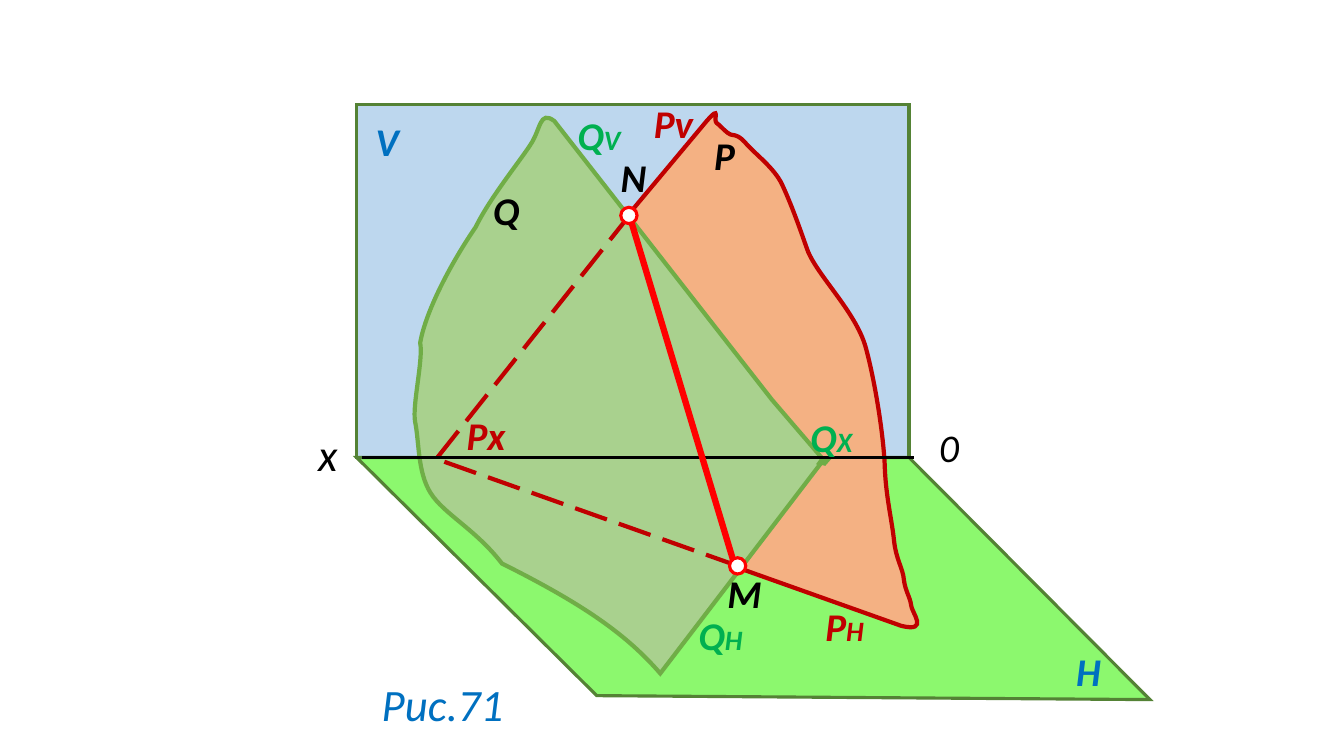
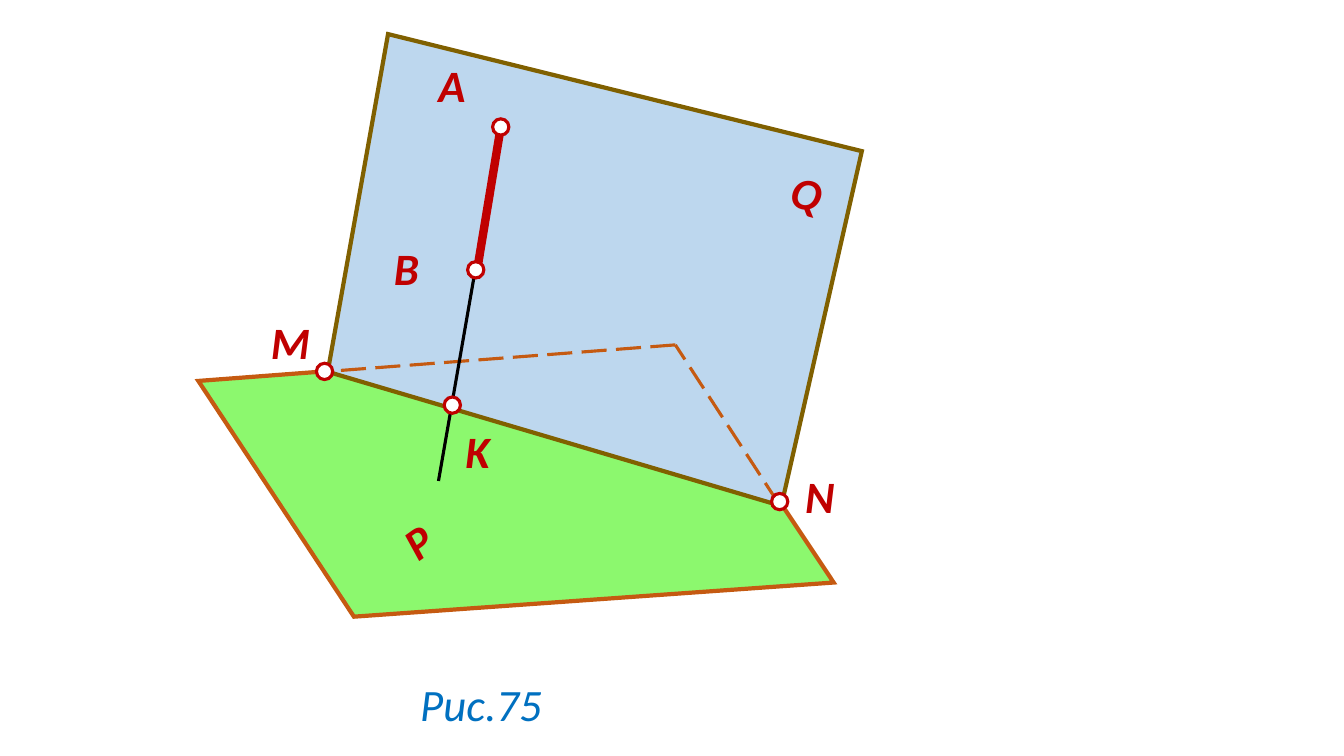
from dataclasses import dataclass

from pptx import Presentation
from pptx.dml.color import RGBColor
from pptx.enum.dml import MSO_LINE
from pptx.enum.shapes import MSO_CONNECTOR as Connector, MSO_SHAPE as Preset
from pptx.oxml.xmlchemy import OxmlElement
from pptx.util import Cm, Pt


@dataclass(frozen=True)
class Theme:
    font: str = "Calibri"
    label: int = 28
    index: int = 20
    large: int = 32
    thin: float = 2.25
    medium: float = 3
    bold_line: float = 4.5
    heavy: float = 6
    dot: float = 0.41
    black: str = "000000"
    white: str = "FFFFFF"
    sky: str = "BDD7EE"
    grass: str = "8CF86E"
    frame: str = "548235"
    blue: str = "0070C0"
    green: str = "00B050"
    leaf: str = "A9D18E"
    leaf_edge: str = "70AD47"
    peach: str = "F4B183"
    crimson: str = "C00000"
    red: str = "FF0000"
    rust: str = "C55A11"
    olive: str = "806000"


class Drawing:
    def __init__(self, deck, theme):
        self.deck = deck
        self.theme = theme
        self.page = None

    def new_page(self):
        self.page = self.deck.slides.add_slide(self.deck.slide_layouts[6])

    def paint(self, shape, fill, edge, weight):
        shape.shadow.inherit = False
        shape.fill.solid()
        shape.fill.fore_color.rgb = RGBColor.from_string(fill)
        self.stroke(shape.line, edge, weight)
        corner = OxmlElement("a:miter")
        corner.set("lim", "800000")
        shape._element.spPr.xpath("./a:ln")[0].append(corner)

    def stroke(self, line, color, weight):
        line.color.rgb = RGBColor.from_string(color)
        line.width = Pt(weight)

    def rectangle(self, left, top, width, height, fill, edge):
        shape = self.page.shapes.add_shape(
            Preset.RECTANGLE, Cm(left), Cm(top), Cm(width), Cm(height))
        self.paint(shape, fill, edge, self.theme.thin)

    def outline(self, segments, fill, edge, weight):
        points = [
            (Cm(segment[i]), Cm(segment[i + 1]))
            for segment in segments for i in range(0, len(segment), 2)
        ]
        builder = self.page.shapes.build_freeform(*points[0])
        builder.add_line_segments(points[1:], close=True)
        shape = builder.convert_to_shape()
        self.bend(shape, segments)
        self.paint(shape, fill, edge, weight)

    def bend(self, shape, segments):
        steps = iter(shape._element.xpath(".//a:lnTo"))
        for segment in segments[1:]:
            step = next(steps)
            if len(segment) == 6:
                curve = OxmlElement("a:cubicBezTo")
                step.addprevious(curve)
                for part in (step, next(steps), next(steps)):
                    curve.append(part[0])
                    part.getparent().remove(part)

    def line(self, start, end, color, weight, dashed=False):
        connector = self.page.shapes.add_connector(
            Connector.STRAIGHT, *(Cm(value) for value in (*start, *end)))
        self.stroke(connector.line, color, weight)
        if dashed:
            connector.line.dash_style = MSO_LINE.LONG_DASH
        connector._element.spPr.append(OxmlElement("a:effectLst"))

    def dot(self, center, edge):
        size = self.theme.dot
        left, top = (value - size / 2 for value in center)
        shape = self.page.shapes.add_shape(
            Preset.OVAL, Cm(left), Cm(top), Cm(size), Cm(size))
        self.paint(shape, self.theme.white, edge, self.theme.thin)

    def label(self, text, left, top, color, index="", size=None, bold=True,
              width=1.93, angle=0):
        size = size or self.theme.label
        box = self.page.shapes.add_textbox(
            Cm(left), Cm(top), Cm(width), Cm(0.25 + size * 0.043))
        box.rotation = angle
        box.text_frame.word_wrap = True
        para = box.text_frame.paragraphs[0]
        para.font.name = self.theme.font
        para.font.size = Pt(size)
        para.font.bold = bold
        para.font.italic = True
        para.font.color.rgb = RGBColor.from_string(color)
        para.add_run().text = text
        if index:
            span = para.add_run()
            span.text = index
            span.font.size = Pt(self.theme.index)

    def caption(self, text, left):
        self.label(text, left, 16.92, self.theme.blue,
                   size=self.theme.large, bold=False, width=4.85)


def draw_plane_intersection(drawing):
    theme = drawing.theme
    drawing.new_page()
    axis = 11.53
    point_n, point_m = (15.85, 5.43), (18.59, 14.26)

    drawing.rectangle(8.99, 2.63, 13.92, 8.9, theme.sky, theme.frame)
    drawing.outline([(8.99, axis), (22.91, axis), (28.98, 17.63), (15.04, 17.53)],
                    theme.grass, theme.frame, theme.thin)
    plane_p = [
        (15.77, 5.49),
        (17.81, 3.05),
        (18.19, 2.62, 17.96, 3.02, 18.06, 3.1),
        (18.14, 3.15, 18.21, 3.25, 18.34, 3.35),
        (18.44, 3.45, 18.54, 3.33, 18.77, 3.58),
        (19, 3.86, 19.51, 4.22, 19.71, 4.65),
        (19.91, 5.08, 20.09, 5.56, 20.32, 6.22),
        (20.52, 6.88, 21.56, 7.82, 21.82, 8.76),
        (22.07, 9.68, 22.28, 11.07, 22.3, 11.81),
        (22.33, 12.52, 22.48, 13.13, 22.53, 13.61),
        (22.58, 14.1, 22.76, 14.33, 22.78, 14.61),
        (22.81, 14.88, 22.94, 15.06, 22.96, 15.24),
        (22.96, 15.42, 23.44, 15.95, 22.71, 15.77),
        (18.44, 14.25),
    ]
    plane_q = [
        (19.46, 10.08),
        (13.97, 3.05),
        (13.59, 2.77, 13.64, 3.25, 13.36, 3.66),
        (13.08, 4.09, 12.34, 5, 11.99, 5.72),
        (11.35, 6.65, 10.72, 7.87, 10.59, 8.64),
        (10.67, 9.07, 10.39, 10.19, 10.46, 10.62),
        (10.57, 11.15, 10.52, 11.89, 10.85, 12.42),
        (11.18, 12.95, 11.99, 13.34, 12.65, 14.2),
        (14.73, 15.24, 15.8, 16, 16.64, 16.97),
        (20.7, 11.66),
        (20.78, 11.68),
        (20.85, 11.6),
        (20.68, 11.63),
        (20.73, 11.56),
    ]
    drawing.outline(plane_p, theme.peach, theme.crimson, theme.medium)
    drawing.outline(plane_q, theme.leaf, theme.leaf_edge, theme.medium)
    drawing.line((15.9, 5.38), (11.02, axis), theme.crimson, theme.medium, dashed=True)
    drawing.line(point_m, (10.9, axis), theme.crimson, theme.medium, dashed=True)
    drawing.line((9.12, axis), (23.04, axis), theme.black, theme.thin)
    drawing.line((15.88, 5.49), (18.54, 14.33), theme.red, theme.bold_line)
    for point in (point_n, point_m):
        drawing.dot(point, theme.red)

    drawing.label("x", 7.77, 10.62, theme.black, size=theme.large, bold=False, width=1.02)
    drawing.label("0", 23.42, 10.54, theme.black, bold=False)
    for text, index, left, top, color in (
        ("Q", "H", 17.35, 15.27, theme.green),
        ("Q", "V", 14.3, 2.67, theme.green),
        ("Q", "X", 20.17, 10.29, theme.green),
        ("P", "H", 20.55, 15.06, theme.crimson),
        ("Pv", "", 16.23, 2.39, theme.crimson),
        ("Px", "", 11.51, 10.24, theme.crimson),
        ("P", "", 17.75, 3.18, theme.black),
        ("Q", "", 12.17, 4.57, theme.black),
        ("M", "", 18.08, 14.22, theme.black),
        ("N", "", 15.39, 3.73, theme.black),
        ("V", "", 9.22, 2.84, theme.blue),
        ("H", "", 26.87, 16.18, theme.blue),
    ):
        drawing.label(text, left, top, color, index=index)
    drawing.caption("Рис.71", 9.37)


def draw_line_and_plane(drawing):
    theme = drawing.theme
    drawing.new_page()
    back_corner = (17.02, 8.69)
    point_a = (12.62, 3.2)

    drawing.outline([(5, 9.6), back_corner, (21.01, 14.68), (8.92, 15.54)],
                    theme.grass, theme.rust, theme.medium)
    drawing.outline([(9.78, 0.86), (21.72, 3.81), (19.69, 12.75), (8.26, 9.37)],
                    theme.sky, theme.olive, theme.medium)
    for start, end in (((19.63, 12.7), back_corner), (back_corner, (8.38, 9.35))):
        drawing.line(start, end, theme.rust, theme.thin, dashed=True)
    drawing.line(point_a, (11.99, 7.01), theme.crimson, theme.heavy)
    drawing.line((11.94, 7.01), (11.05, 12.12), theme.black, theme.thin)

    for text, left, top, angle in (
        ("B", 9.68, 5.94, 0),
        ("A", 10.8, 1.32, 0),
        ("M", 6.58, 7.8, 0),
        ("N", 20.04, 11.68, 0),
        ("K", 11.48, 10.54, 0),
        ("Q", 19.69, 4.14, 15.4),
        ("P", 9.9, 12.58, 324.4),
    ):
        drawing.label(text, left, top, theme.crimson, size=theme.large, angle=angle)
    for point in (point_a, (11.99, 6.8), (11.4, 10.21), (8.18, 9.36), (19.65, 12.64)):
        drawing.dot(point, theme.crimson)
    drawing.caption("Рис.75", 10.34)


def main():
    deck = Presentation()
    deck.slide_width = Cm(33.87)
    deck.slide_height = Cm(19.05)
    drawing = Drawing(deck, Theme())
    draw_plane_intersection(drawing)
    draw_line_and_plane(drawing)
    deck.save("out.pptx")


if __name__ == "__main__":
    main()
